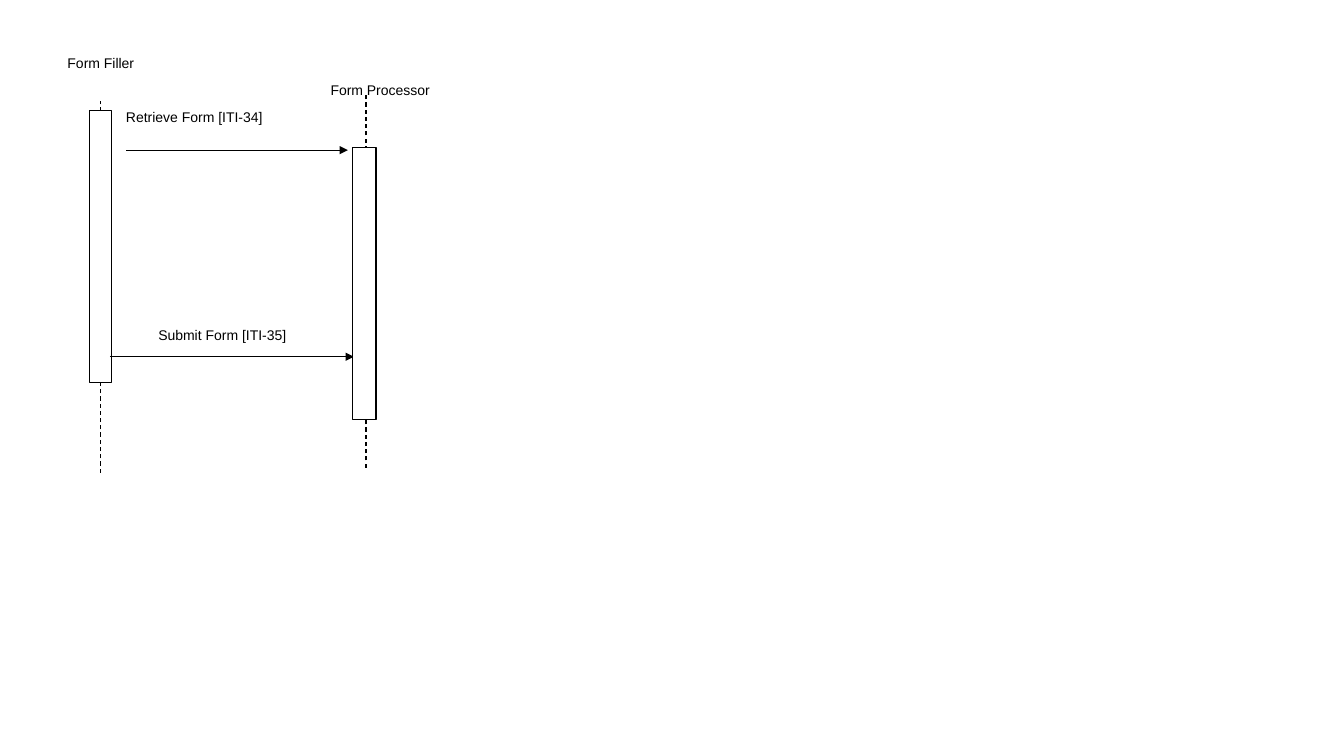
from collections import namedtuple
from lxml.etree import SubElement
from pptx import Presentation
from pptx.dml.color import RGBColor
from pptx.enum.dml import MSO_LINE_DASH_STYLE as Dash
from pptx.enum.shapes import MSO_CONNECTOR as Connector, MSO_SHAPE as Shape
from pptx.enum.text import MSO_ANCHOR as Anchor, PP_ALIGN as Align
from pptx.oxml.ns import qn
from pptx.util import Inches, Pt

Box = namedtuple("Box", "left top width height")
INK, PAPER = "000000", "FFFFFF"
BAR_HEIGHT = 2.7


def color(value):
    return RGBColor.from_string(value)


def add_rect(page, box):
    rect = page.shapes.add_shape(Shape.RECTANGLE, *map(Inches, box))
    rect.shadow.inherit = False
    rect.fill.solid()
    rect.fill.fore_color.rgb = color(PAPER)
    rect.line.fill.background()
    return rect


def set_line(line):
    line.color.rgb = color(INK)
    line.width = Pt(0.75)


def add_label(page, box, text, align):
    frame = add_rect(page, box).text_frame
    frame.margin_left = frame.margin_top = frame.margin_right = frame.margin_bottom = 0
    frame.word_wrap = True
    frame.vertical_anchor = Anchor.TOP
    frame.text = text
    para = frame.paragraphs[0]
    para.alignment = align
    font = para.runs[0].font
    font.name, font.size = "Arial", Pt(10)
    font.color.rgb = color(INK)


def add_line(page, start, end):
    line = page.shapes.add_connector(Connector.STRAIGHT, *map(Inches, start + end))
    set_line(line.line)
    SubElement(line._element.spPr, qn("a:effectLst"))
    return line


def add_participant(page, box, name, line_x, line_top, bar_left, bar_top, bar_width):
    add_label(page, Box(box.left, box.top, box.width, 0.35), name, Align.CENTER)
    lifeline = add_line(page, (line_x, box.top + box.height), (line_x, line_top))
    lifeline.line.dash_style = Dash.DASH
    bar = add_rect(page, Box(bar_left, bar_top, bar_width, BAR_HEIGHT))
    set_line(bar.line)


def add_message(page, box, text, start_x, end_x, line_y):
    arrow = add_line(page, (start_x, line_y), (end_x, line_y))
    SubElement(arrow.line._get_or_add_ln(), qn("a:tailEnd"), type="triangle")
    add_label(page, box, text, Align.LEFT)


def build_sequence(page):
    add_participant(page, Box(0.48, 0.54, 1.04, 4.15), "Form Filler", 1, 1, 0.89, 1.1, 0.22)
    add_message(page, Box(1.25, 1.08, 1.93, 0.4), "Retrieve Form [ITI-34]", 1.25, 3.45, 1.49)
    add_message(page, Box(1.57, 3.24, 1.32, 0.24), "Submit Form [ITI-35]", 1.09, 3.51, 3.54)
    add_participant(page, Box(3.27, 0.81, 1, 3.83), "Form Processor", 3.63, 0.94, 3.5, 1.46, 0.23)


def main():
    deck = Presentation()
    deck.slide_width, deck.slide_height = Inches(13.33), Inches(7.5)
    page = deck.slides.add_slide(deck.slide_layouts[6])
    build_sequence(page)
    deck.save("out.pptx")


if __name__ == "__main__":
    main()
